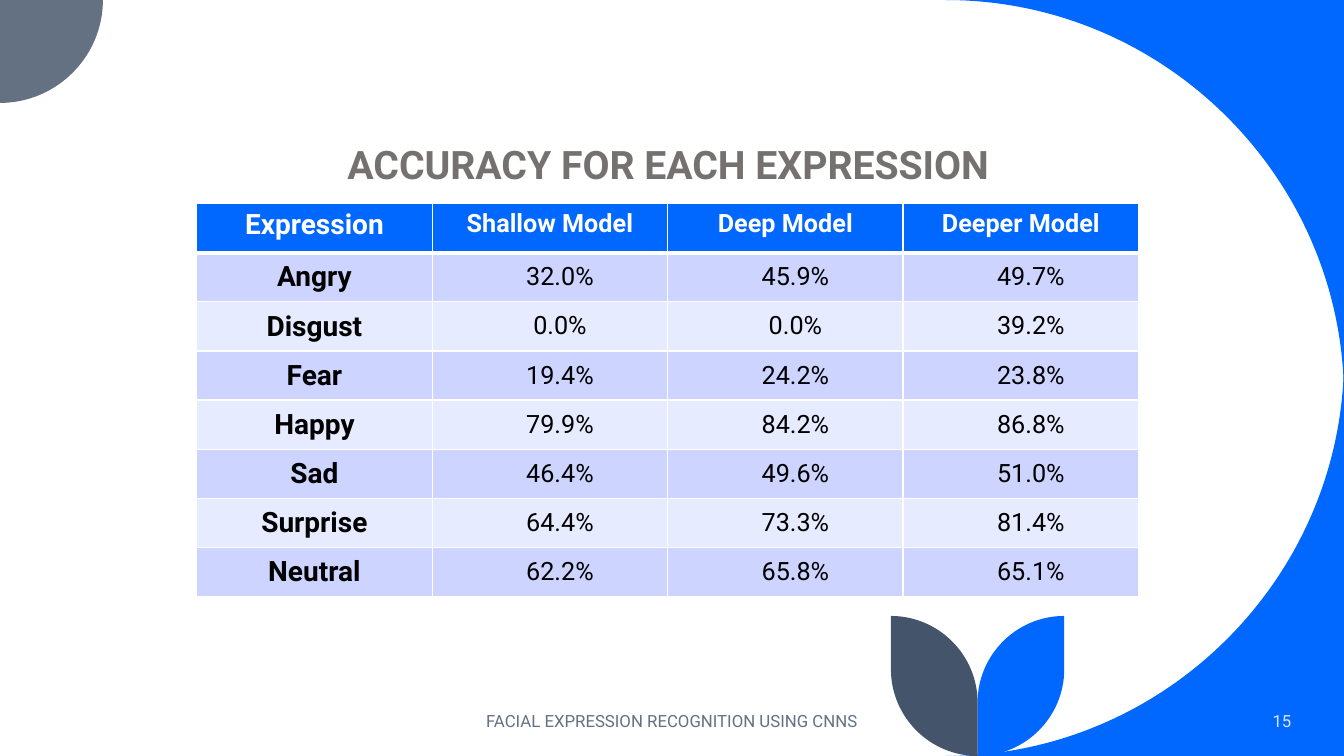
from lxml import etree
from pptx import Presentation
from pptx.dml.color import RGBColor
from pptx.enum.text import MSO_ANCHOR, MSO_AUTO_SIZE, PP_ALIGN
from pptx.oxml.ns import qn
from pptx.util import Pt

CENTER, RIGHT = PP_ALIGN.CENTER, PP_ALIGN.RIGHT
TOP, MIDDLE, BOTTOM = MSO_ANCHOR.TOP, MSO_ANCHOR.MIDDLE, MSO_ANCHOR.BOTTOM
NO_AUTOFIT = MSO_AUTO_SIZE.NONE
TITLE_ONLY = 5

WIDTH, HEIGHT = 960, 540
FONT = "Roboto"
BLUE, SLATE, NAVY, WHITE = "0068FF", "637183", "44546A", "FFFFFF"
BANDS = ["CCD4FF", "E7EBFF"]
ARC_PULL = 0.55  # share of the way to the corner for a quarter circle's handles

HEADINGS = ["Expression", "Shallow Model", "Deep Model", "Deeper Model"]
ACCURACY = [
    ["Angry", "32.0%", "45.9%", "49.7%"],
    ["Disgust", "0.0%", "0.0%", "39.2%"],
    ["Fear", "19.4%", "24.2%", "23.8%"],
    ["Happy", "79.9%", "84.2%", "86.8%"],
    ["Sad", "46.4%", "49.6%", "51.0%"],
    ["Surprise", "64.4%", "73.3%", "81.4%"],
    ["Neutral", "62.2%", "65.8%", "65.1%"],
]


def color(hex_string):
    return RGBColor.from_string(hex_string)


def write(frame, text, size=18, ink="000000", bold=False, align=CENTER,
          before=0, indent=0, spacing=1.0):
    paragraph = frame.paragraphs[0]
    paragraph.alignment = align
    paragraph.space_before = Pt(before)
    paragraph.line_spacing = spacing
    if indent:
        paragraph._p.get_or_add_pPr().set("indent", str(Pt(indent)))
    run = paragraph.add_run()
    run.text = text
    run.font.name, run.font.size, run.font.bold = FONT, Pt(size), bold
    run.font.color.rgb = color(ink)


def add_outline(slide, points, fill, arcs):
    """Closed outline; arcs maps the index of an arc's end point to its corner."""
    builder = slide.shapes.build_freeform(*map(Pt, points[0]), scale=1.0)
    builder.add_line_segments([(Pt(x), Pt(y)) for x, y in points[1:]], close=True)
    outline = builder.convert_to_shape()
    outline.shadow.inherit = False
    outline.fill.solid()
    outline.fill.fore_color.rgb = color(fill)
    outline.line.fill.background()

    # Turn the chosen segments into quarter-circle curves
    segments = list(outline._element.iter(qn("a:lnTo")))
    for end, corner in arcs.items():
        segment = segments[end - 1]
        segment.tag = qn("a:cubicBezTo")
        for place, anchor in enumerate((points[end - 1], points[end])):
            x, y = (a + (c - a) * ARC_PULL for a, c in zip(anchor, corner))
            handle = etree.Element(qn("a:pt"), x=str(Pt(x) - outline.left),
                                   y=str(Pt(y) - outline.top))
            segment.insert(place, handle)


def add_corners(slide, width, height):
    # Blue corners on the right, cut by large circles
    radius = 284.4
    left = width - radius
    for edge, reach in ((0, radius), (height, height - radius)):
        corner = (width, edge)
        add_outline(slide, [corner, (left, edge), (width, reach)], BLUE, {2: corner})
    # Quarter disc at the top left
    disc = 73.5
    add_outline(slide, [(0, 0), (disc, 0), (0, disc)], SLATE, {2: (disc, disc)})


def add_leaves(slide, left, top, width, height):
    radius = width / 2
    stem, bottom = left + radius, top + height
    for tip, fill in ((left + width, BLUE), (left, NAVY)):
        points = [(tip, top), (tip, bottom - radius), (stem, bottom),
                  (stem, top + radius), (tip, top)]
        add_outline(slide, points, fill, {2: (tip, bottom), 4: (stem, top)})


def add_title(slide, left, top, width, height):
    title = slide.shapes.title
    title.left, title.top = Pt(left), Pt(top)
    title.width, title.height = Pt(width), Pt(height)
    title.text_frame.auto_size = NO_AUTOFIT
    title.text_frame.vertical_anchor = BOTTOM
    write(title.text_frame, "ACCURACY FOR EACH EXPRESSION", size=28,
          ink="767171", bold=True, spacing=0.9)


def add_footer_text(slide, text, left, top, width, height, **text_format):
    footer = slide.shapes.add_textbox(Pt(left), Pt(top), Pt(width), Pt(height))
    footer.text_frame.word_wrap = True
    footer.text_frame.vertical_anchor = MIDDLE
    write(footer.text_frame, text, size=12, **text_format)


def style_cell(cell, fill, above, below):
    properties = cell._tc.get_or_add_tcPr()
    for side, weight in (("L", 1), ("R", 1), ("T", above), ("B", below)):
        border = etree.SubElement(properties, qn(f"a:ln{side}"), w=str(Pt(weight)))
        solid = etree.SubElement(border, qn("a:solidFill"))
        etree.SubElement(solid, qn("a:srgbClr"), val=WHITE)
    cell.fill.solid()
    cell.fill.fore_color.rgb = color(fill)


def add_accuracy_table(slide, left, top, width, height):
    rows = [HEADINGS] + ACCURACY
    table = slide.shapes.add_table(len(rows), len(HEADINGS), Pt(left), Pt(top),
                                   Pt(width), Pt(height)).table
    for column in table.columns:
        column.width = Pt(width / len(HEADINGS))
    for r, values in enumerate(rows):
        table.rows[r].height = Pt(height / len(rows))
        for c, value in enumerate(values):
            cell = table.cell(r, c)
            header, label = r == 0, c == 0
            style_cell(cell, BLUE if header else BANDS[(r - 1) % 2],
                       above=3 if r == 1 else 1, below=3 if header else 1)
            cell.vertical_anchor = TOP if header else MIDDLE
            size = 20 if label else 18
            if header or label:
                write(cell.text_frame, value, size=size, bold=True,
                      ink=WHITE if header else "000000")
            else:
                cell.margin_left = cell.margin_right = Pt(5)
                cell.margin_top = cell.margin_bottom = Pt(0)
                write(cell.text_frame, value, size=size, before=6, indent=14.4)


def main():
    deck = Presentation()
    deck.slide_width, deck.slide_height = Pt(WIDTH), Pt(HEIGHT)
    slide = deck.slides.add_slide(deck.slide_layouts[TITLE_ONLY])

    # Decoration
    add_corners(slide, WIDTH, HEIGHT)
    add_leaves(slide, 636.4, 440, 123.8, 100)

    # Title and table
    add_title(slide, 153.2, 100, 648, 38)
    add_accuracy_table(slide, 140.5, 145.5, 672.8, 280.6)

    # Footer and slide number
    add_footer_text(slide, "FACIAL EXPRESSION RECOGNITION USING CNNS",
                    318, 500.5, 324, 28.8, ink=SLATE)
    add_footer_text(slide, "15", 799.2, 500.5, 130.3, 28.8, ink="DAE5EF", align=RIGHT)

    deck.save("out.pptx")


if __name__ == "__main__":
    main()
